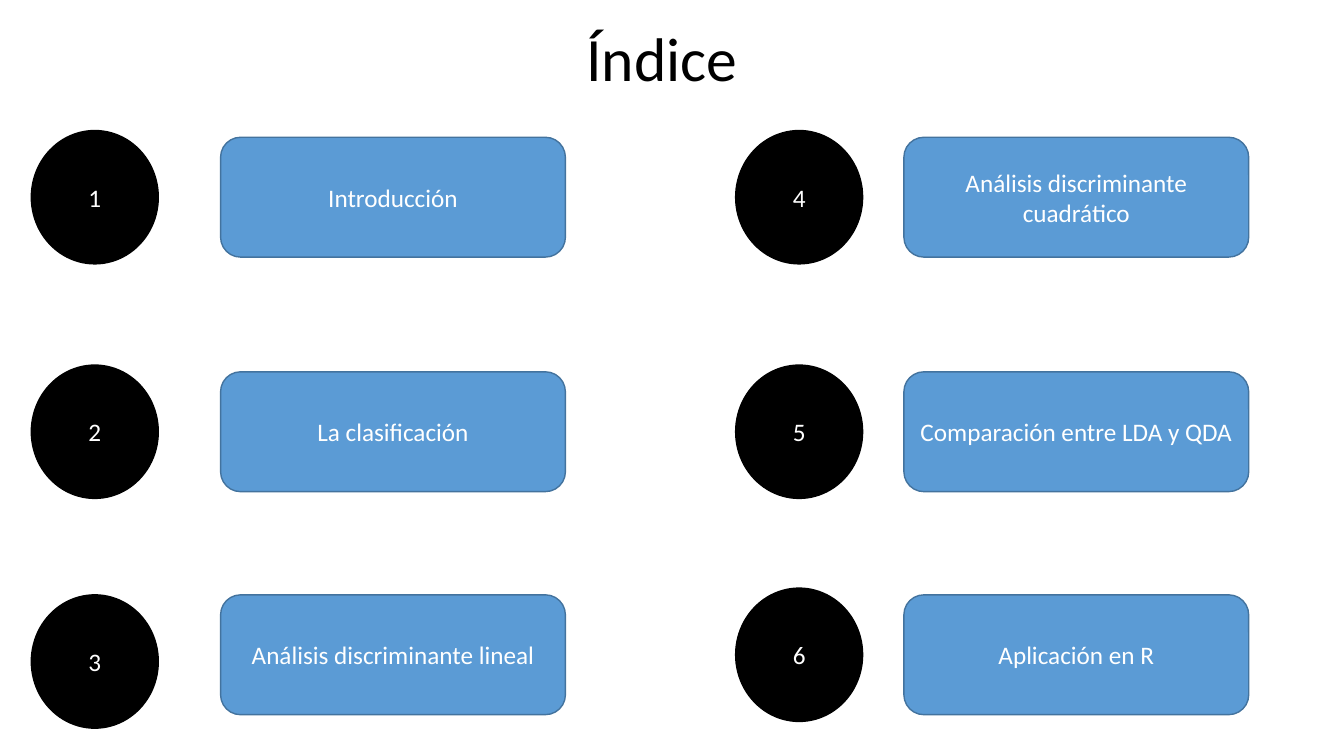
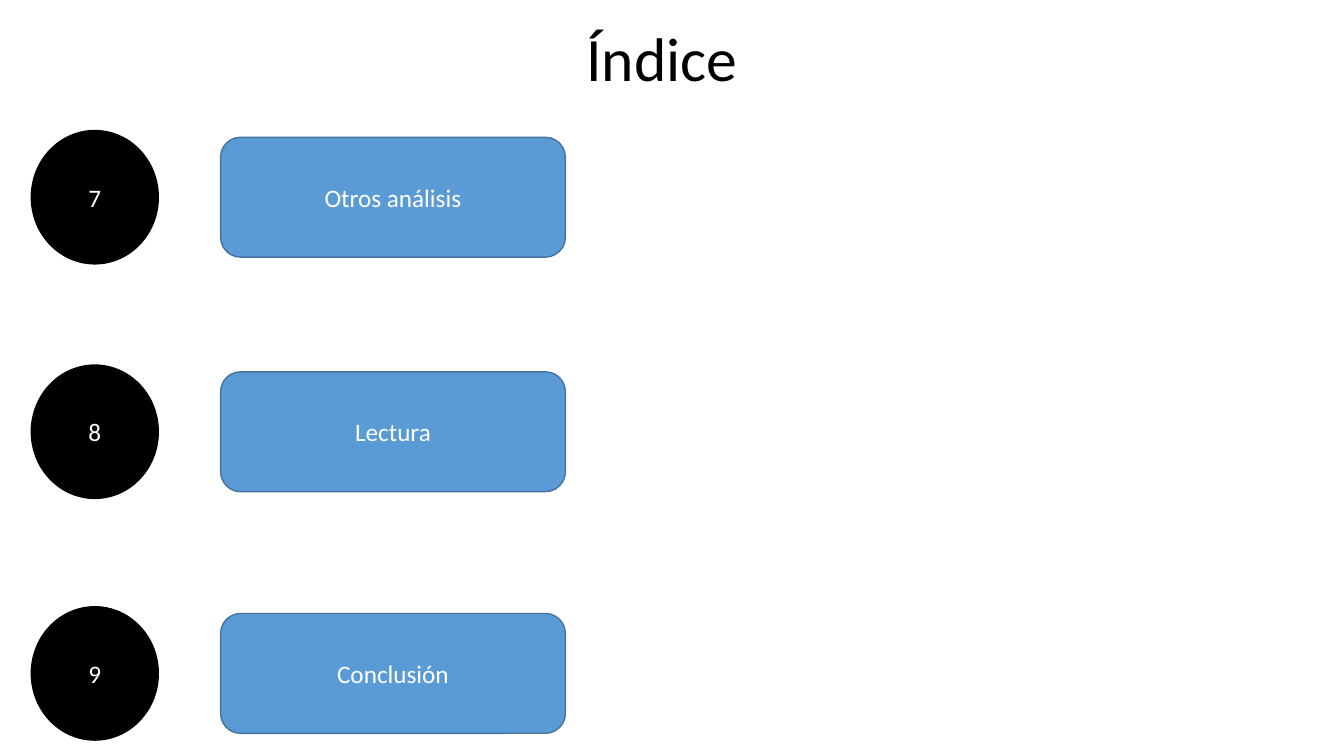
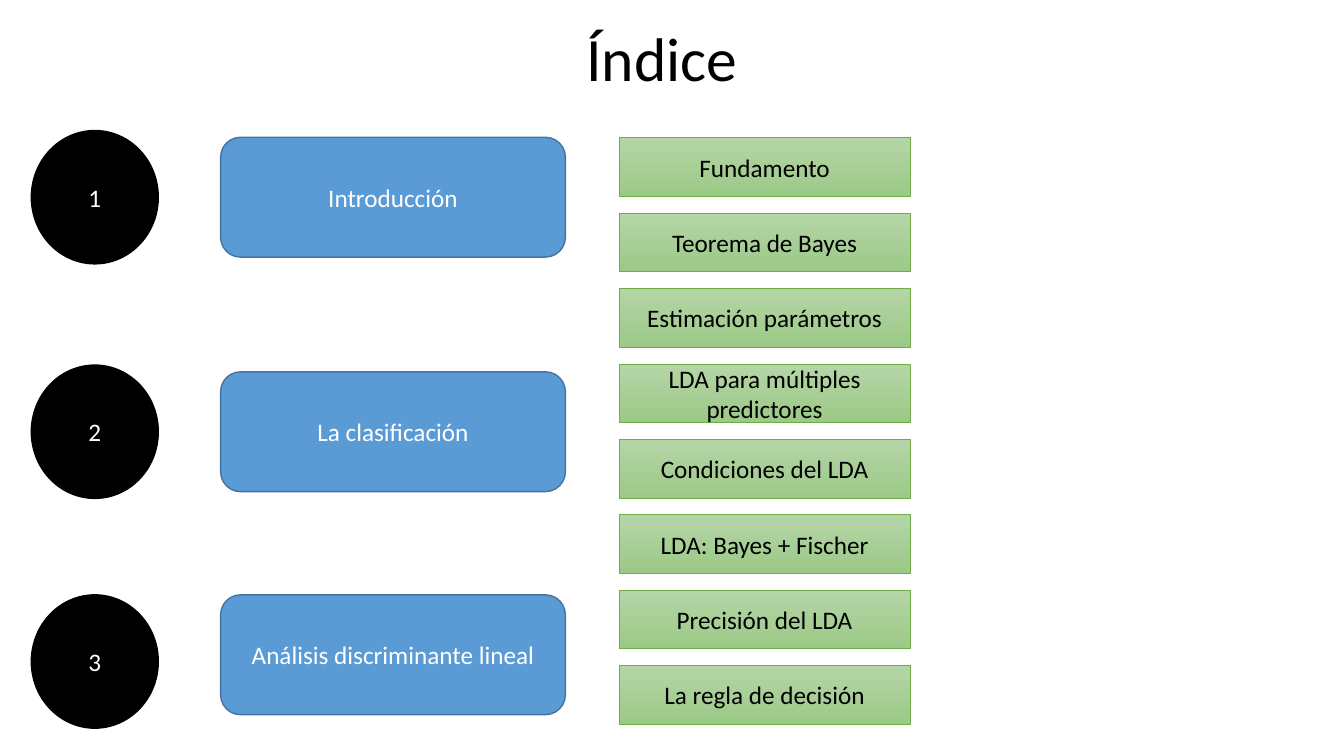
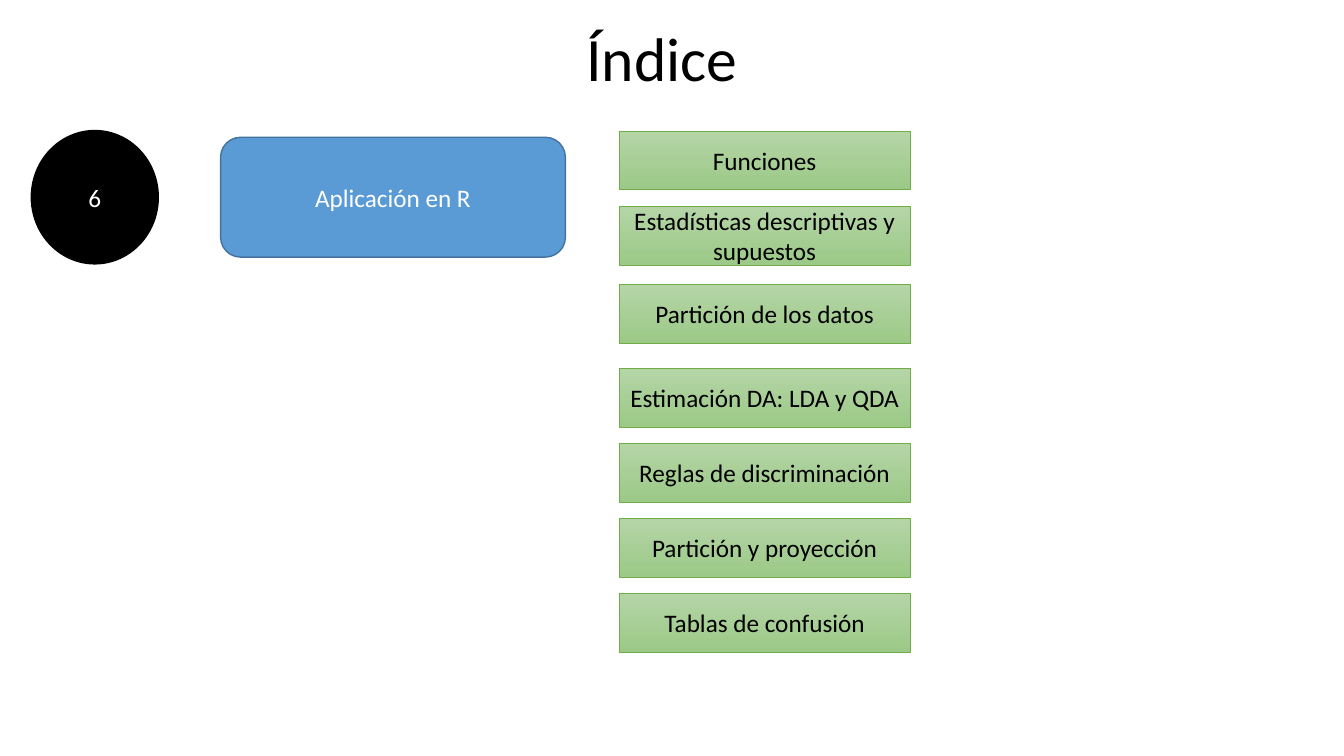
from pptx import Presentation
from pptx.dml.color import RGBColor
from pptx.enum.shapes import MSO_SHAPE
from pptx.enum.text import MSO_ANCHOR, PP_ALIGN
from pptx.util import Cm, Pt

ELLIPSE = MSO_SHAPE.OVAL
ROUNDED = MSO_SHAPE.ROUNDED_RECTANGLE
RECTANGLE = MSO_SHAPE.RECTANGLE
CENTER = PP_ALIGN.CENTER
MIDDLE = MSO_ANCHOR.MIDDLE

FONT = "Calibri"
COLORS = {
    "black": "000000",
    "white": "FFFFFF",
    "topic": "5B9BD5",
    "topic_line": "43739E",
    "subtopic_top": "B5D5A7",
    "subtopic_bottom": "9CC987",
    "subtopic_line": "70AD47",
}

# All lengths below are in centimetres.
NUMBER_SIZE = (3.2, 3.36)
TOPIC_SIZE = (8.69, 3.02)
SUBTOPIC_SIZE = (7.34, 1.48)
LEFT_COLUMN = (0.79, 5.56)  # left edges of number and topic
RIGHT_COLUMN = (18.54, 22.78)
ROW_CENTERS = (4.97, 10.88, 16.5)
LOW_ROW_CENTER = 16.97
SUBTOPIC_LEFT = 15.6


def rgb(name):
    return RGBColor.from_string(COLORS[name])


def style_text(frame, text, size, color):
    frame.text = text
    frame.word_wrap = True
    frame.vertical_anchor = MIDDLE
    paragraph = frame.paragraphs[0]
    paragraph.alignment = CENTER
    paragraph.font.name = FONT
    paragraph.font.size = Pt(size)
    paragraph.font.color.rgb = rgb(color)
    return paragraph


def add_index_slide(prs):
    slide = prs.slides.add_slide(prs.slide_layouts[5])
    title = slide.shapes.title
    title.left, title.top = Cm(2.36), Cm(0.33)
    title.width, title.height = Cm(28.65), Cm(2.46)
    style_text(title.text_frame, "Índice", 44, "black").line_spacing = 0.9
    return slide


def add_label(slide, kind, left, top, size, text, text_color, line, line_width):
    """Add an outlined shape with centred text, its fill left to the caller."""
    width, height = size
    label = slide.shapes.add_shape(kind, Cm(left), Cm(top), Cm(width), Cm(height))
    label.shadow.inherit = False
    label.line.color.rgb = rgb(line)
    label.line.width = Pt(line_width)
    style_text(label.text_frame, text, 18, text_color)
    return label


def add_topic(slide, number, text, column, center, number_drop=0):
    """Add a numbered topic; number_drop lowers the circle below the row centre."""
    number_left, topic_left = column
    number_top = center - NUMBER_SIZE[1] / 2 + number_drop
    topic_top = center - TOPIC_SIZE[1] / 2
    circle = add_label(slide, ELLIPSE, number_left, number_top, NUMBER_SIZE,
                       str(number), "white", "black", 1)
    circle.fill.solid()
    circle.fill.fore_color.rgb = rgb("black")
    topic = add_label(slide, ROUNDED, topic_left, topic_top, TOPIC_SIZE,
                      text, "white", "topic_line", 1)
    topic.fill.solid()
    topic.fill.fore_color.rgb = rgb("topic")


def add_first_topics(slide):
    first, second, third = ROW_CENTERS
    add_topic(slide, 1, "Introducción", LEFT_COLUMN, first)
    add_topic(slide, 2, "La clasificación", LEFT_COLUMN, second)
    add_topic(slide, 3, "Análisis discriminante lineal", LEFT_COLUMN, third,
              number_drop=0.17)


def add_subtopics(slide, top, step, texts):
    for row, text in enumerate(texts):
        subtopic = add_label(slide, RECTANGLE, SUBTOPIC_LEFT, top + row * step,
                             SUBTOPIC_SIZE, text, "black", "subtopic_line", 0.5)
        subtopic.fill.gradient()
        subtopic.fill.gradient_angle = 270
        start, end = subtopic.fill.gradient_stops
        start.color.rgb = rgb("subtopic_top")
        end.color.rgb = rgb("subtopic_bottom")


def main():
    prs = Presentation()
    prs.slide_width, prs.slide_height = Cm(33.87), Cm(19.05)

    slide = add_index_slide(prs)
    add_first_topics(slide)
    later_topics = ("Análisis discriminante cuadrático",
                    "Comparación entre LDA y QDA", "Aplicación en R")
    for number, (text, center) in enumerate(zip(later_topics, ROW_CENTERS), 4):
        add_topic(slide, number, text, RIGHT_COLUMN, center)

    slide = add_index_slide(prs)
    closing_topics = ("Otros análisis", "Lectura", "Conclusión")
    closing_centers = (*ROW_CENTERS[:2], LOW_ROW_CENTER)
    for number, (text, center) in enumerate(zip(closing_topics, closing_centers), 7):
        add_topic(slide, number, text, LEFT_COLUMN, center)

    slide = add_index_slide(prs)
    add_first_topics(slide)
    add_subtopics(slide, 3.47, 1.9, (
        "Fundamento", "Teorema de Bayes", "Estimación parámetros",
        "LDA para múltiples predictores", "Condiciones del LDA",
        "LDA: Bayes + Fischer", "Precisión del LDA", "La regla de decisión"))

    slide = add_index_slide(prs)
    add_topic(slide, 6, "Aplicación en R", LEFT_COLUMN, ROW_CENTERS[0])
    add_subtopics(slide, 3.3, 1.9, (
        "Funciones", "Estadísticas descriptivas y supuestos"))
    add_subtopics(slide, 7.17, 1.9, ("Partición de los datos",))
    add_subtopics(slide, 9.28, 1.89, (
        "Estimación DA: LDA y QDA", "Reglas de discriminación",
        "Partición y proyección", "Tablas de confusión"))

    prs.save("out.pptx")


if __name__ == "__main__":
    main()
